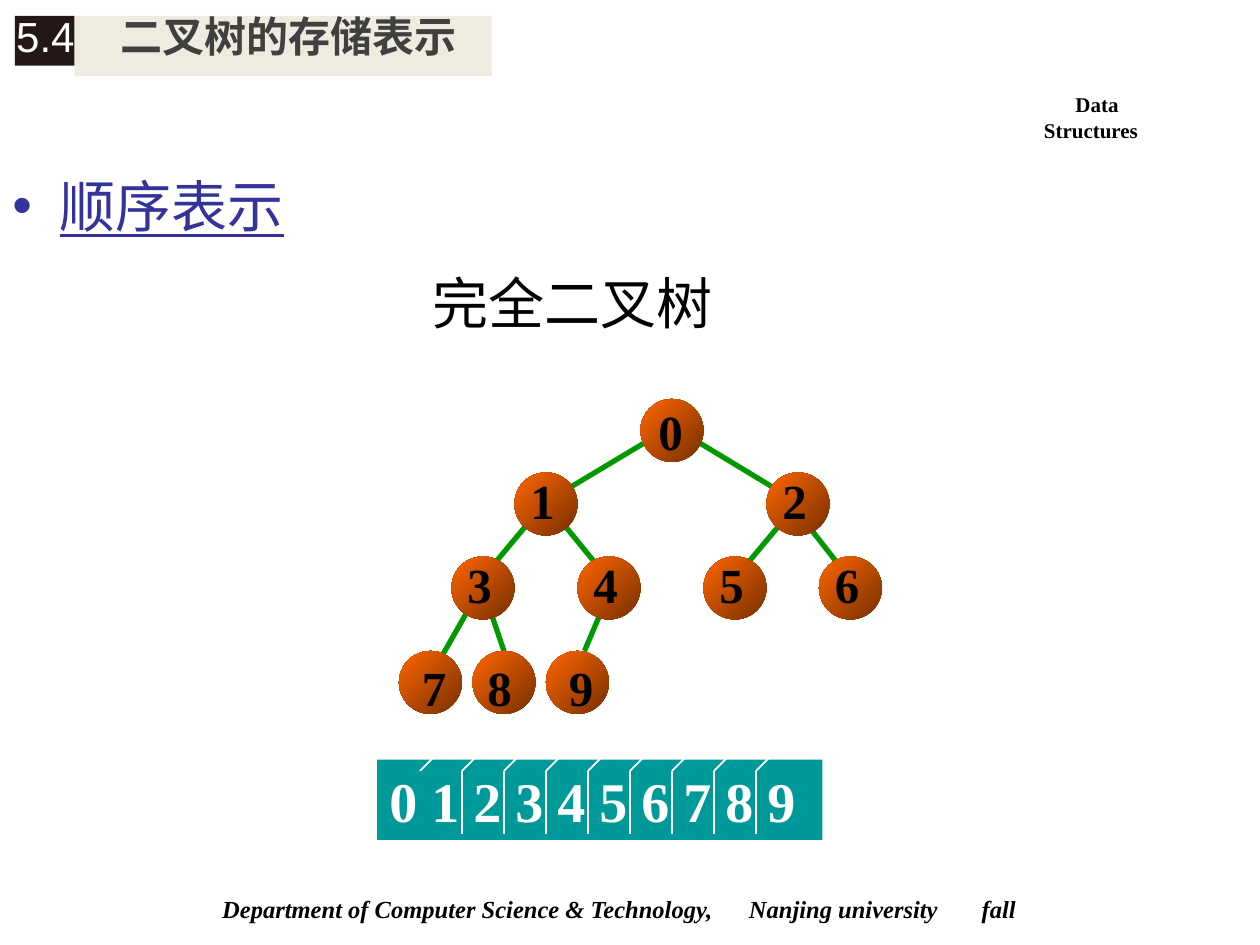
from dataclasses import dataclass
from typing import NamedTuple

from lxml import etree
from pptx import Presentation
from pptx.dml.color import RGBColor
from pptx.enum.shapes import MSO_CONNECTOR, MSO_SHAPE
from pptx.enum.text import MSO_ANCHOR, PP_ALIGN
from pptx.oxml.ns import qn
from pptx.util import Pt

STRAIGHT = MSO_CONNECTOR.STRAIGHT
RECTANGLE, OVAL = MSO_SHAPE.RECTANGLE, MSO_SHAPE.OVAL
LEFT, CENTER = PP_ALIGN.LEFT, PP_ALIGN.CENTER
TOP, MIDDLE = MSO_ANCHOR.TOP, MSO_ANCHOR.MIDDLE


@dataclass(frozen=True)
class Theme:
    black: str = "000000"
    white: str = "FFFFFF"
    heading: str = "404040"
    heading_band: str = "EEECE1"
    number_band: str = "231815"
    topic: str = "333399"
    array: str = "009999"
    edge: str = "009900"
    node_dark: str = "762F00"
    node_light: str = "FF6600"
    sans: str = "Arial"
    serif: str = "Times New Roman"
    chinese: str = "Noto Sans CJK SC"
    course_size: float = 12
    footer_size: float = 14
    heading_size: float = 24
    label_size: float = 28
    body_size: float = 32


class Area(NamedTuple):
    left: float
    top: float
    width: float
    height: float


class Node(NamedTuple):
    value: str
    left: float
    top: float
    label_left: float
    label_top: float


class Line(NamedTuple):
    x1: float
    y1: float
    x2: float
    y2: float


THEME = Theme()
NODE_SIZE = 36
LABEL_WIDTH, LABEL_HEIGHT = 28, 41

NODES = [
    Node("0", 366, 228, 369.2, 225.5),
    Node("1", 294, 270, 296, 265),
    Node("2", 438, 270, 440, 265),
    Node("3", 258, 318, 260, 313),
    Node("4", 330, 318, 332, 313),
    Node("5", 402, 318, 404, 313),
    Node("6", 468, 318, 470, 313),
    Node("7", 228, 372, 234, 372),
    Node("8", 270, 372, 271.5, 372),
    Node("9", 312, 372, 318, 372),
]

EDGES = [
    Line(375, 249, 315, 285),
    Line(393, 249, 450, 283.5),
    Line(303, 297.5, 273, 333.5),
    Line(315.5, 291.5, 342, 324),
    Line(450.5, 294, 422.5, 327.5),
    Line(459.5, 297.5, 483, 327.5),
    Line(273, 339, 252.5, 375),
    Line(279, 345.5, 290, 378),
    Line(348, 339, 334, 372),
]


def rgb(value: str) -> RGBColor:
    return RGBColor.from_string(value)


def add_span(para, text: str, *, size: float, color: str, font: str,
             bold: bool = False, italic: bool = False,
             underline: bool = False) -> None:
    span = para.add_run()
    span.text = text
    style = span.font
    style.size, style.name = Pt(size), font
    style.bold, style.italic, style.underline = bold, italic, underline
    style.color.rgb = rgb(color)
    east_asian = etree.SubElement(style._element, qn("a:ea"))
    east_asian.set("typeface", THEME.chinese)


def add_box(page, area: Area, *, align=LEFT, anchor=TOP, wrap: bool = True):
    """Add an empty text box and return its frame."""
    frame = page.shapes.add_textbox(*map(Pt, area)).text_frame
    frame.word_wrap = wrap
    frame.vertical_anchor = anchor
    frame.paragraphs[0].alignment = align
    return frame


def add_shape(page, kind, area: Area, color: str | None = None):
    shape = page.shapes.add_shape(kind, *map(Pt, area))
    shape.shadow.inherit = False
    shape.line.fill.background()
    if color:
        shape.fill.solid()
        shape.fill.fore_color.rgb = rgb(color)
    return shape


def add_line(page, line: Line, color: str, width: float) -> None:
    connector = page.shapes.add_connector(STRAIGHT, *map(Pt, line))
    connector.line.color.rgb = rgb(color)
    connector.line.width = Pt(width)
    etree.SubElement(connector._element.spPr, qn("a:effectLst"))


def set_tabs(para, *stops: float) -> None:
    tabs = etree.SubElement(para._p.get_or_add_pPr(), qn("a:tabLst"))
    for stop in stops:
        etree.SubElement(tabs, qn("a:tab"), pos=str(Pt(stop)), algn="l")


def set_bullet(para, color: str, indent: float) -> None:
    properties = para._p.get_or_add_pPr()
    properties.set("marL", str(Pt(indent)))
    properties.set("indent", str(-Pt(indent)))
    bullet_color = etree.SubElement(properties, qn("a:buClr"))
    etree.SubElement(bullet_color, qn("a:srgbClr"), val=color)
    etree.SubElement(properties, qn("a:buFont"), typeface=THEME.sans)
    etree.SubElement(properties, qn("a:buChar"), char="•")


def draw_header(page) -> None:
    add_shape(page, RECTANGLE, Area(42.5, 9, 238.5, 34.5), THEME.heading_band)
    add_shape(page, RECTANGLE, Area(8.5, 9, 34, 28.5), THEME.number_band)
    para = add_box(page, Area(2.2, 2.2, 535, 90)).paragraphs[0]
    set_tabs(para, 59.5)
    style = {"size": THEME.heading_size, "font": THEME.sans}
    add_span(para, "5.4\t", color=THEME.white, **style)
    add_span(para, "二叉树的存储表示", color=THEME.heading, bold=True, **style)

    course = add_box(page, Area(589.5, 49, 99.5, 36))
    course.paragraphs[0]._p.get_or_add_pPr().set("indent", str(Pt(18)))
    for para, word in zip((course.paragraphs[0], course.add_paragraph()),
                          ("Data", "Structures")):
        add_span(para, word, size=THEME.course_size, color=THEME.black,
                 font=THEME.serif, bold=True)


def draw_footer(page) -> None:
    frame = add_box(page, Area(59, 507.5, 600.5, 24.5))
    frame.margin_left = Pt(68)
    para = frame.paragraphs[0]
    set_tabs(para, 301, 434)
    add_span(para, "Department of Computer Science & Technology,\t"
             "Nanjing university\tfall", size=THEME.footer_size,
             color=THEME.black, font=THEME.serif, bold=True, italic=True)


def draw_topic(page) -> None:
    para = add_box(page, Area(0, 94.3, 630, 336)).paragraphs[0]
    set_bullet(para, THEME.topic, 27)
    add_span(para, "顺序表示", size=THEME.body_size, color=THEME.topic,
             font=THEME.sans, underline=True)


def draw_tree(page) -> None:
    caption = add_box(page, Area(240, 150, 396, 84)).paragraphs[0]
    add_span(caption, "完全二叉树", size=THEME.body_size, color=THEME.black,
             font=THEME.chinese)
    for edge in EDGES:
        add_line(page, edge, THEME.edge, 3)
    for node in NODES:
        circle = add_shape(page, OVAL,
                           Area(node.left, node.top, NODE_SIZE, NODE_SIZE))
        circle.fill.gradient()
        circle.fill.gradient_angle = 135
        for stop, color in zip(circle.fill.gradient_stops,
                               (THEME.node_dark, THEME.node_light)):
            stop.color.rgb = rgb(color)
    for node in NODES:
        label = add_box(page, Area(node.label_left, node.label_top,
                                   LABEL_WIDTH, LABEL_HEIGHT),
                        align=CENTER, anchor=MIDDLE, wrap=False)
        add_span(label.paragraphs[0], node.value, size=THEME.label_size,
                 color=THEME.black, font=THEME.serif, bold=True)


def draw_array(page) -> None:
    frame = add_shape(page, RECTANGLE, Area(215.5, 434, 254.5, 46),
                      THEME.array).text_frame
    frame.word_wrap = True
    frame.vertical_anchor = MIDDLE
    para = frame.paragraphs[0]
    para.alignment = LEFT
    add_span(para, " ".join(node.value for node in NODES),
             size=THEME.body_size, color=THEME.white, font=THEME.serif,
             bold=True)
    top, bottom, first, step = 440.5, 476.5, 240, 24
    for index in range(len(NODES) - 1):
        x = first + index * step
        add_line(page, Line(x, top, x + 12, top - 12), THEME.white, 1)
        if index:
            add_line(page, Line(x, top, x, bottom), THEME.white, 1.5)


def main() -> None:
    deck = Presentation()
    deck.slide_width, deck.slide_height = Pt(720), Pt(540)
    page = deck.slides.add_slide(deck.slide_layouts[6])
    for draw in (draw_header, draw_footer, draw_array, draw_tree, draw_topic):
        draw(page)
    deck.save("out.pptx")


if __name__ == "__main__":
    main()
